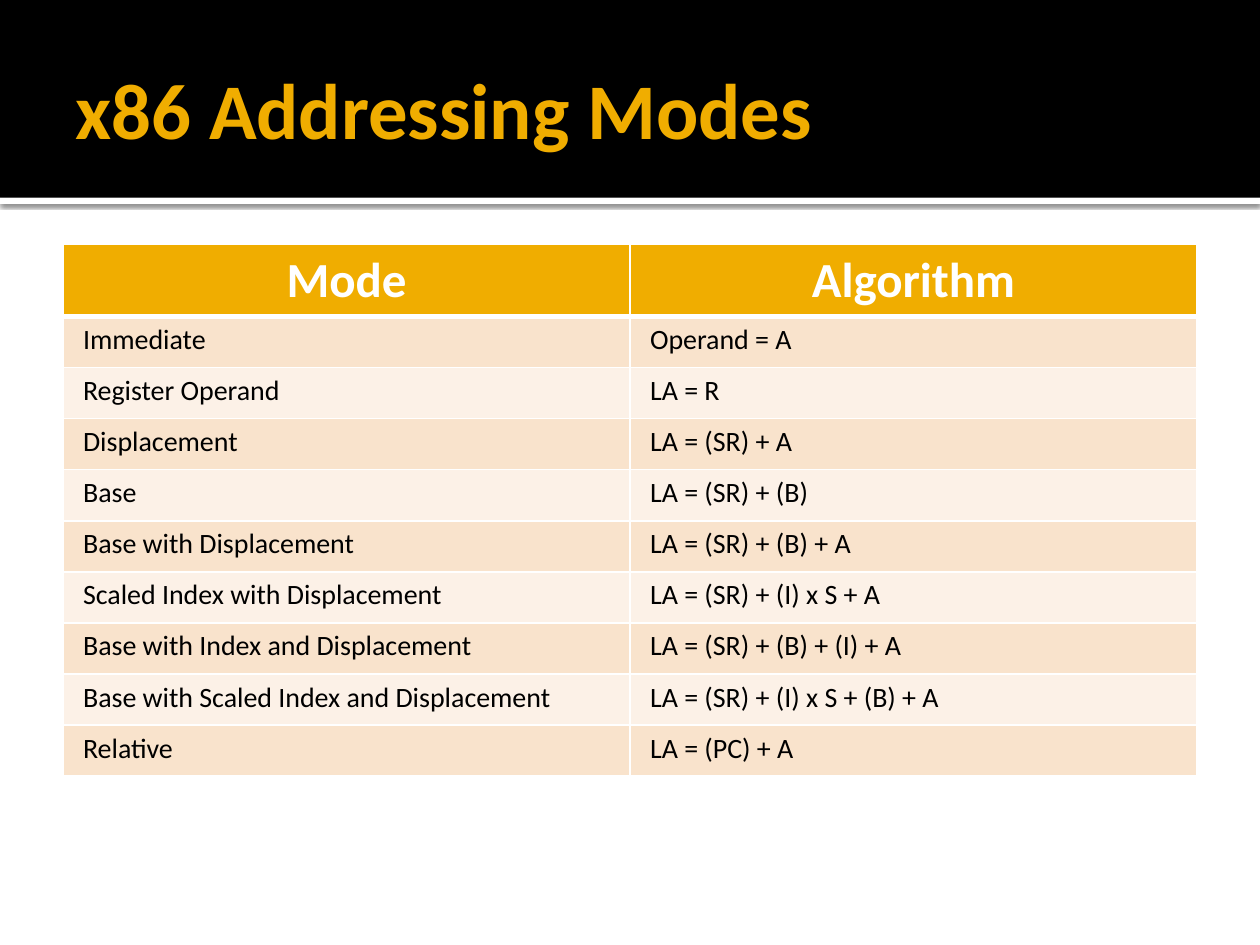
from lxml import etree
from pptx import Presentation
from pptx.dml.color import RGBColor
from pptx.enum import shapes, text
from pptx.oxml import ns
from pptx.util import Pt

TITLE = "x86 Addressing Modes"
HEADINGS = ("Mode", "Algorithm")
MODES = [
    ("Immediate", "Operand = A"),
    ("Register Operand", "LA = R"),
    ("Displacement", "LA = (SR) + A"),
    ("Base", "LA = (SR) + (B)"),
    ("Base with Displacement", "LA = (SR) + (B) + A"),
    ("Scaled Index with Displacement", "LA = (SR) + (I) x S + A"),
    ("Base with Index and Displacement", "LA = (SR) + (B) + (I) + A"),
    ("Base with Scaled Index and Displacement", "LA = (SR) + (I) x S + (B) + A"),
    ("Relative", "LA = (PC) + A"),
]
COLORS = {"white": "FFFFFF", "black": "000000", "gold": "F0AD00",
          "odd": "F9E3CC", "even": "FCF1E7"}
FONT = "Calibri"
SLIDE_W, SLIDE_H = 720, 540
BANNER_H, RULE_H = 113, 3.6
TABLE_LEFT, TABLE_TOP, COLUMN_W = 36, 139.8, 324
HEADER_H, ROW_H = 41, 29.2


def rgb(name):
    return RGBColor.from_string(COLORS[name])


def add_band(slide, top, height, color):
    band = slide.shapes.add_shape(shapes.MSO_SHAPE.RECTANGLE,
                                  0, Pt(top), Pt(SLIDE_W), Pt(height))
    band.fill.solid()
    band.fill.fore_color.rgb = rgb(color)
    band.line.fill.background()
    band.shadow.inherit = False
    return band


def add_child(parent, tag, **attributes):
    return etree.SubElement(parent, ns.qn(tag),
                            {key: str(value) for key, value in attributes.items()})


def cast_shadow(shape, blur, distance, opacity):
    """Drop a black shadow straight down; opacity is in percent."""
    effects = shape._element.spPr.find(ns.qn("a:effectLst"))
    shadow = add_child(effects, "a:outerShdw", blurRad=Pt(blur), dist=Pt(distance),
                       dir=90 * 60000, algn="tl", rotWithShape=0)
    color = add_child(shadow, "a:srgbClr", val=COLORS["black"])
    add_child(color, "a:alpha", val=opacity * 1000)


def style_text(paragraph, size, color, bold):
    for run in paragraph.runs:
        run.font.name = FONT
        run.font.size = Pt(size)
        run.font.bold = bold
        run.font.color.rgb = rgb(color)


def add_borders(cell, top, bottom):
    properties = cell._tc.get_or_add_tcPr()
    for side, width in (("L", 1), ("R", 1), ("T", top), ("B", bottom)):
        line = add_child(properties, f"a:ln{side}", w=Pt(width))
        add_child(add_child(line, "a:solidFill"), "a:srgbClr", val=COLORS["white"])


def fill_cell(cell, words, row):
    header = row == 0
    cell.margin_left = cell.margin_right = Pt(11.5)
    cell.margin_top = cell.margin_bottom = Pt(3.6)
    add_borders(cell, top=3 if row == 1 else 1, bottom=3 if header else 1)
    cell.fill.solid()
    cell.fill.fore_color.rgb = rgb("gold" if header else "odd" if row % 2 else "even")
    cell.text_frame.text = words
    paragraph = cell.text_frame.paragraphs[0]
    if header:
        paragraph.alignment = text.PP_ALIGN.CENTER
        style_text(paragraph, 28, "white", True)
    else:
        style_text(paragraph, 16, "black", False)


def add_title(slide):
    title = slide.shapes.add_textbox(Pt(36), Pt(12.2), Pt(648), Pt(98.6)).text_frame
    title.word_wrap = True
    title.vertical_anchor = text.MSO_ANCHOR.MIDDLE
    title.margin_left = Pt(7.2)
    title.margin_right = title.margin_top = title.margin_bottom = Pt(3.6)
    title.text = TITLE
    style_text(title.paragraphs[0], 45, "gold", True)


def add_modes_table(slide):
    rows = [HEADINGS, *MODES]
    table = slide.shapes.add_table(
        len(rows), len(HEADINGS), Pt(TABLE_LEFT), Pt(TABLE_TOP),
        Pt(COLUMN_W * len(HEADINGS)), Pt(HEADER_H + ROW_H * len(MODES))).table
    for column in table.columns:
        column.width = Pt(COLUMN_W)
    for r, row in enumerate(rows):
        table.rows[r].height = Pt(ROW_H if r else HEADER_H)
        for c, words in enumerate(row):
            fill_cell(table.cell(r, c), words, r)


def main():
    deck = Presentation()
    deck.slide_width, deck.slide_height = Pt(SLIDE_W), Pt(SLIDE_H)
    slide = deck.slides.add_slide(deck.slide_layouts[6])
    rule = add_band(slide, BANNER_H, RULE_H, "white")
    cast_shadow(rule, blur=2.5, distance=0.8, opacity=60)
    add_band(slide, 0, BANNER_H, "black")
    add_title(slide)
    add_modes_table(slide)
    deck.save("out.pptx")


if __name__ == "__main__":
    main()
